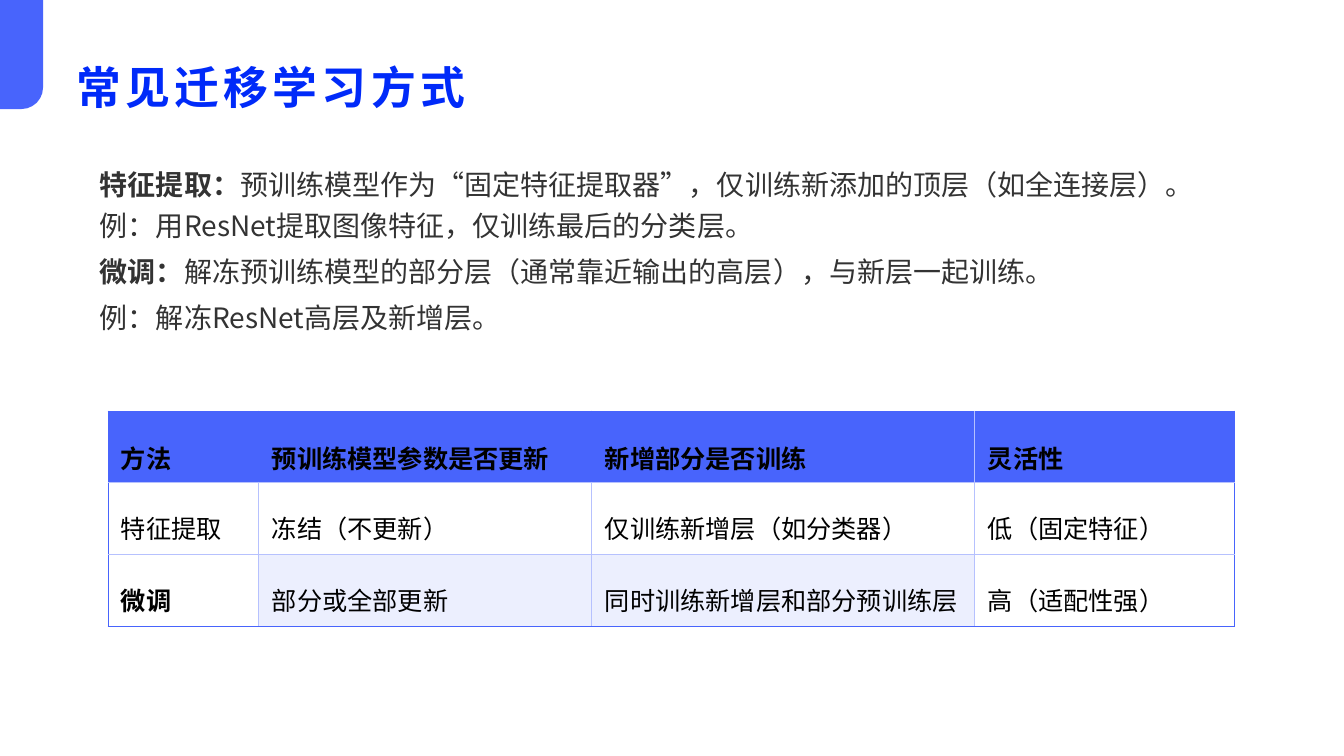
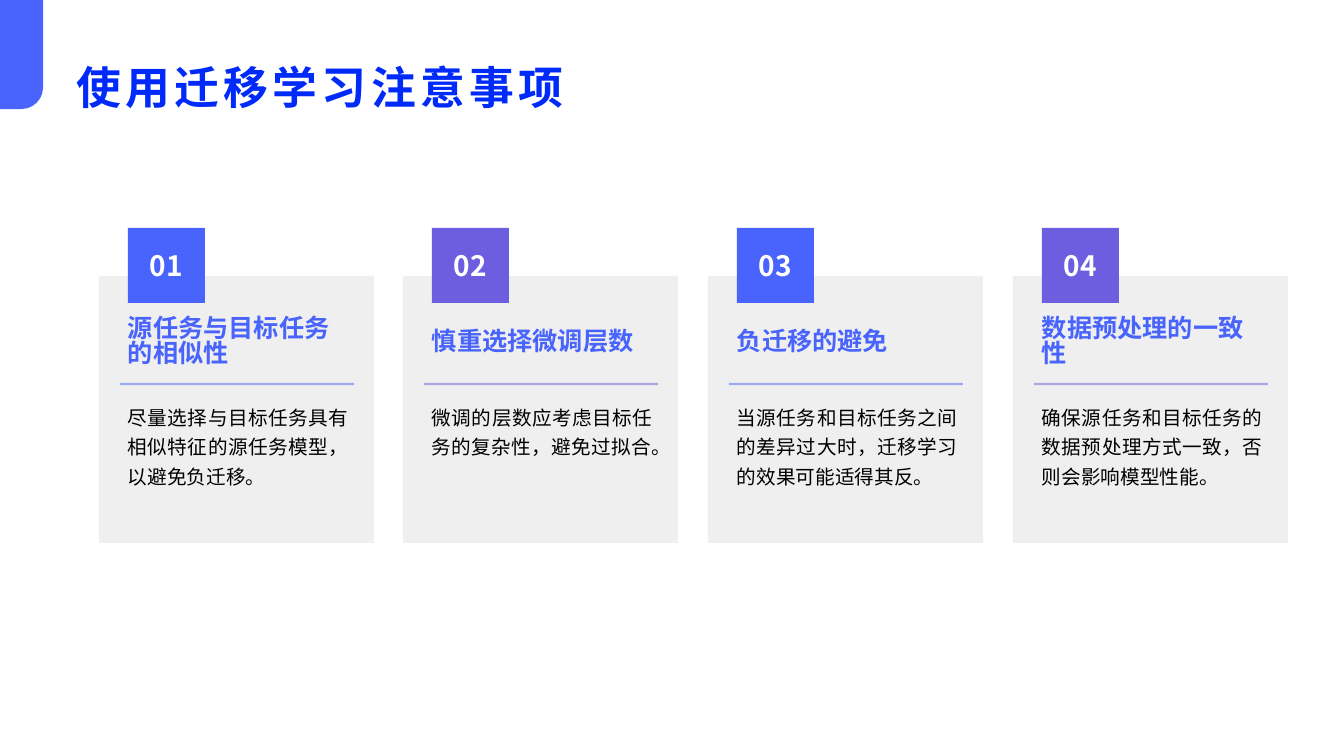
from dataclasses import dataclass

from lxml.etree import SubElement
from pptx import Presentation
from pptx.dml.color import RGBColor
from pptx.enum.shapes import MSO_CONNECTOR, MSO_SHAPE
from pptx.enum.text import MSO_ANCHOR, PP_ALIGN
from pptx.oxml.ns import qn
from pptx.util import Emu, Pt

FACE = "Noto Sans CJK SC"
BLUE, PURPLE, PALE = "4864FC", "6C5EDE", "B6C1FE"
TITLE, DARK, GREY = "002AF9", "333333", "999999"
BLACK, WHITE = "000000", "FFFFFF"


@dataclass(frozen=True)
class Box:
    x: int
    y: int
    w: int
    h: int


@dataclass(frozen=True)
class Style:
    size: int
    color: str
    bold: bool = False
    lead: float = 1
    align: PP_ALIGN = PP_ALIGN.LEFT
    track: int = 0


@dataclass(frozen=True)
class Line:
    text: str
    head: str = ""
    gap: int = 0


@dataclass(frozen=True)
class Card:
    head: str
    body: str
    color: str


HEADING = Style(32, TITLE, True, track=300)
PROSE = Style(20, DARK, lead=1.23)
BADGE = Style(20, WHITE, True, align=PP_ALIGN.CENTER)
TOPIC = Style(18, BLUE, True, lead=0.82)
NOTE = Style(14, BLACK, lead=1.25, align=PP_ALIGN.JUSTIFY)

LINES = [
    Line("预训练模型作为“固定特征提取器”，仅训练新添加的顶层（如全连接层）。", "特征提取："),
    Line("例：用ResNet提取图像特征，仅训练最后的分类层。"),
    Line("解冻预训练模型的部分层（通常靠近输出的高层），与新层一起训练。", "微调：", 3),
    Line("例：解冻ResNet高层及新增层。"),
]
ROWS = [
    ["方法", "预训练模型参数是否更新", "新增部分是否训练", "灵活性"],
    ["特征提取", "冻结（不更新）", "仅训练新增层（如分类器）", "低（固定特征）"],
    ["微调", "部分或全部更新", "同时训练新增层和部分预训练层", "高（适配性强）"],
]
WIDTHS = [151, 333, 383, 260]
HEIGHTS = [71, 72, 72]
CARDS = [
    Card("源任务与目标任务的相似性", "尽量选择与目标任务具有相似特征的源任务模型，以避免负迁移。", BLUE),
    Card("慎重选择微调层数", "微调的层数应考虑目标任务的复杂性，避免过拟合。", PURPLE),
    Card("负迁移的避免", "当源任务和目标任务之间的差异过大时，迁移学习的效果可能适得其反。", BLUE),
    Card("数据预处理的一致性", "确保源任务和目标任务的数据预处理方式一致，否则会影响模型性能。", PURPLE),
]


def px(count: int) -> Emu:
    return Emu(round(count * 914400 / 100.8))


def place(box: Box) -> list[Emu]:
    return [px(n) for n in (box.x, box.y, box.w, box.h)]


def rgb(color: str) -> RGBColor:
    return RGBColor.from_string(color)


def paint(fill, color: str, alpha: int = 100) -> None:
    fill.solid()
    fill.fore_color.rgb = rgb(color)
    if alpha < 100:
        tone = fill._xPr.find(qn("a:solidFill"))[0]
        SubElement(tone, qn("a:alpha"), val=str(alpha * 1000))


def style(para, look: Style) -> None:
    para.alignment = look.align
    para.line_spacing = look.lead
    font = para.font
    font.size = Pt(look.size)
    font.bold = look.bold
    font.color.rgb = rgb(look.color)
    font.name = FACE
    SubElement(font._element, qn("a:ea"), typeface=FACE)
    if look.track:
        font._element.set("spc", str(look.track))


def inset(frame) -> None:
    frame.margin_left = frame.margin_right = 0
    frame.margin_top = frame.margin_bottom = 0


def write(slide, box: Box, text: str, look: Style, anchor: MSO_ANCHOR, tight: bool = True) -> None:
    frame = slide.shapes.add_textbox(*place(box)).text_frame
    frame.word_wrap = True
    frame.vertical_anchor = anchor
    if tight:
        inset(frame)
    frame.text = text
    style(frame.paragraphs[0], look)


def block(slide, box: Box, color: str, alpha: int = 100, kind: MSO_SHAPE = MSO_SHAPE.RECTANGLE):
    shape = slide.shapes.add_shape(kind, *place(box))
    shape.shadow.inherit = False
    shape.line.fill.background()
    paint(shape.fill, color, alpha)
    return shape


def start(deck, title: str):
    slide = deck.slides.add_slide(deck.slide_layouts[6])
    tab = block(slide, Box(-33, 33, 109, 43), BLUE, kind=MSO_SHAPE.ROUND_1_RECTANGLE)
    tab.adjustments[0] = 0.5
    tab.rotation = 90
    write(slide, Box(67, 43, 1210, 75), title, HEADING, MSO_ANCHOR.BOTTOM, False)
    return slide


def prose(slide) -> None:
    frame = slide.shapes.add_textbox(*place(Box(90, 155, 1186, 223))).text_frame
    frame.word_wrap = True
    for i, line in enumerate(LINES):
        para = frame.paragraphs[0] if i == 0 else frame.add_paragraph()
        style(para, PROSE)
        if line.gap:
            para.space_before = para.space_after = Pt(line.gap)
        if line.head:
            run = para.add_run()
            run.text = line.head
            run.font.bold = True
        para.add_run().text = line.text


def edge(cell, side: str, color: str) -> None:
    props = cell._tc.get_or_add_tcPr()
    rule = SubElement(props, qn(f"a:ln{side}"), w=str(Pt(0.75)))
    fill = SubElement(rule, qn("a:solidFill"))
    SubElement(fill, qn("a:srgbClr"), val=color)


def border(cell, row: int, col: int) -> None:
    last = len(WIDTHS) - 1
    top = row == 0
    sides = {
        "L": col == 0 or top and col < last,
        "R": col == last or top and col < last - 1,
        "T": top,
        "B": row == len(ROWS) - 1,
    }
    for side, strong in sides.items():
        edge(cell, side, BLUE if strong else PALE)


def grid(slide) -> None:
    box = Box(108, 411, sum(WIDTHS), sum(HEIGHTS))
    table = slide.shapes.add_table(len(ROWS), len(WIDTHS), *place(box)).table
    table.first_row = table.horz_banding = False
    for col, width in zip(table.columns, WIDTHS):
        col.width = px(width)
    for r, row in enumerate(ROWS):
        table.rows[r].height = px(HEIGHTS[r])
        for c, text in enumerate(row):
            cell = table.cell(r, c)
            cell.margin_left = cell.margin_right = px(13)
            cell.margin_top = px(9)
            cell.margin_bottom = px(9 if r else 6)
            cell.vertical_anchor = MSO_ANCHOR.MIDDLE
            border(cell, r, c)
            if r == 0:
                paint(cell.fill, BLUE)
            elif r == 2 and c in (1, 2):
                paint(cell.fill, PALE, 25)
            else:
                cell.fill.background()
            cell.text = text
            bold = r == 0 or (r, c) == (2, 0)
            style(cell.text_frame.paragraphs[0], Style(18, BLACK, bold, 1.5))


def rule(slide, x: int, y: int, w: int, color: str) -> None:
    line = slide.shapes.add_connector(MSO_CONNECTOR.STRAIGHT, px(x), px(y), px(x + w), px(y))
    line.line.width = Pt(1.75)
    paint(line.line.fill, color, 50)
    SubElement(line._element.spPr, qn("a:effectLst"))


def panel(slide, i: int, card: Card) -> None:
    x = 99 + 914 * i // 3
    block(slide, Box(x, 276, 275, 267), GREY, 15)
    write(slide, Box(x + 29, 400, 220, 194), card.body, NOTE, MSO_ANCHOR.TOP)
    badge = block(slide, Box(x + 29, 228, 77, 75), card.color)
    frame = badge.text_frame
    inset(frame)
    frame.word_wrap = False
    frame.vertical_anchor = MSO_ANCHOR.MIDDLE
    frame.text = f"{i + 1:02}"
    style(frame.paragraphs[0], BADGE)
    rule(slide, x + 21, 384, 234, card.color)
    write(slide, Box(x + 29, 319, 220, 48), card.head, TOPIC, MSO_ANCHOR.MIDDLE)


def main() -> None:
    deck = Presentation()
    deck.slide_width, deck.slide_height = px(1344), px(756)
    slide = start(deck, "常见迁移学习方式")
    prose(slide)
    grid(slide)
    slide = start(deck, "使用迁移学习注意事项")
    for i, card in enumerate(CARDS):
        panel(slide, i, card)
    deck.save("out.pptx")


if __name__ == "__main__":
    main()
